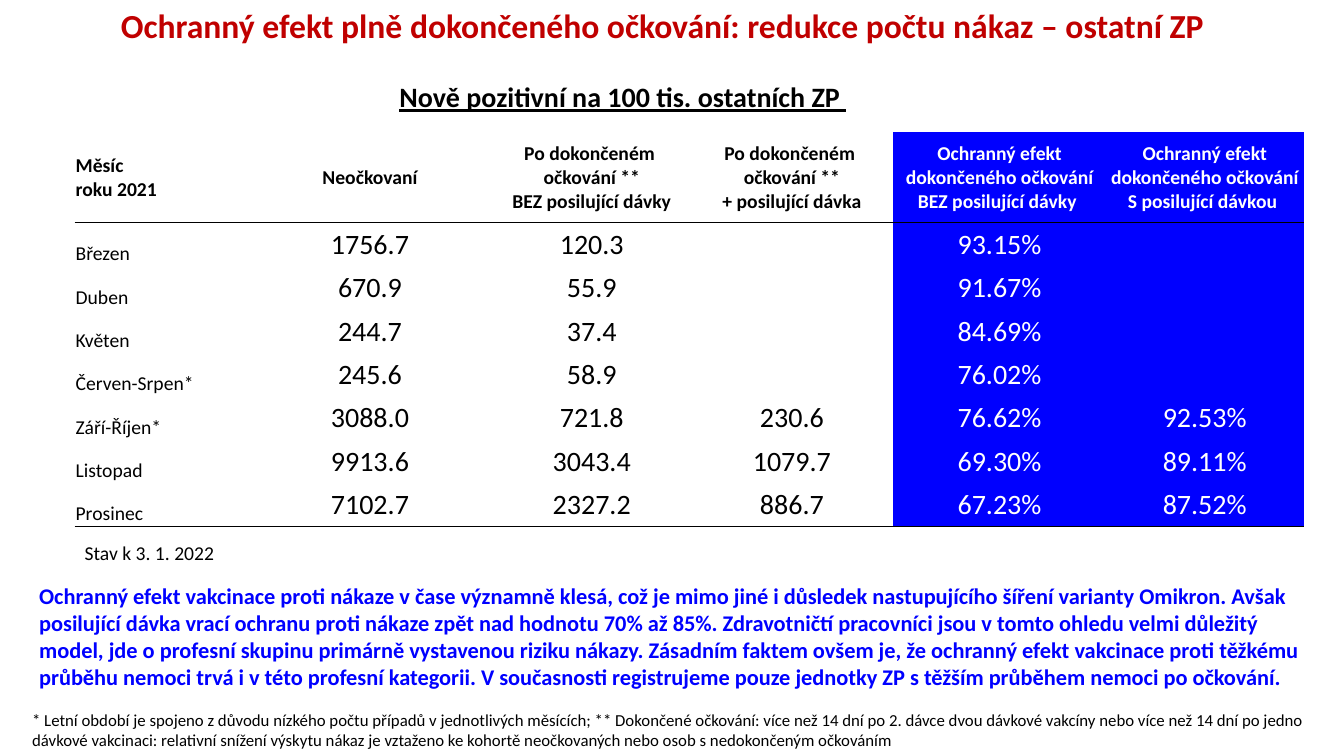
from lxml.etree import SubElement
from pptx import Presentation
from pptx.dml.color import RGBColor
from pptx.enum.text import MSO_ANCHOR as Anchor, PP_ALIGN as Align
from pptx.oxml import parse_xml
from pptx.oxml.ns import nsdecls, qn
from pptx.util import Pt

EMU_PER_PX = 9144
FONT = "Calibri"
BLACK, WHITE, RED, BLUE = "000000", "FFFFFF", "C00000", "0000FF"
PLAIN_STYLE = "{2D5ABB26-0587-4C30-8999-92F81FD0307C}"

TITLE = "Ochranný efekt plně dokončeného očkování: redukce počtu nákaz – ostatní ZP"
SUBTITLE = "Nově pozitivní na 100 tis. ostatních ZP "
STATUS = "Stav k 3. 1. 2022"
CONCLUSION = (
    "Ochranný efekt vakcinace proti nákaze v čase významně klesá, což je mimo jiné i "
    "důsledek nastupujícího šíření varianty Omikron. Avšak posilující dávka vrací ochranu "
    "proti nákaze zpět nad hodnotu 70% až 85%. Zdravotničtí pracovníci jsou v tomto ohledu "
    "velmi důležitý model, jde o profesní skupinu primárně vystavenou riziku nákazy. "
    "Zásadním faktem ovšem je, že ochranný efekt vakcinace proti těžkému průběhu nemoci "
    "trvá i v této profesní kategorii. V současnosti registrujeme pouze jednotky ZP "
    "s těžším průběhem nemoci po očkování."
)
FOOTNOTE = (
    "* Letní období je spojeno z důvodu nízkého počtu případů v jednotlivých měsících; "
    "** Dokončené očkování: více než 14 dní po 2. dávce dvou dávkové vakcíny nebo více než "
    "14 dní po jedno dávkové vakcinaci: relativní snížení výskytu nákaz je vztaženo ke "
    "kohortě neočkovaných nebo osob s nedokončeným očkováním"
)

HEADERS = [
    "Měsíc\nroku 2021",
    "Neočkovaní",
    "Po dokončeném \nočkování **\nBEZ posilující dávky",
    "Po dokončeném \nočkování **\n+ posilující dávka",
    "Ochranný efekt dokončeného očkování BEZ posilující dávky ",
    "Ochranný efekt dokončeného očkování S posilující dávkou ",
]
MONTHS = [
    ("Březen", "1756.7", "120.3", "", "93.15%", ""),
    ("Duben", "670.9", "55.9", "", "91.67%", ""),
    ("Květen", "244.7", "37.4", "", "84.69%", ""),
    ("Červen-Srpen*", "245.6", "58.9", "", "76.02%", ""),
    ("Září-Říjen*", "3088.0", "721.8", "230.6", "76.62%", "92.53%"),
    ("Listopad", "9913.6", "3043.4", "1079.7", "69.30%", "89.11%"),
    ("Prosinec", "7102.7", "2327.2", "886.7", "67.23%", "87.52%"),
]
COLUMN_WIDTHS = [171, 244, 196, 201, 211, 196]
ROW_HEIGHT, HEADER_HEIGHT = 43, 90
FIRST_EFFECT_COLUMN = 4


def px(length):
    return int(length * EMU_PER_PX)


def rgb(color):
    return RGBColor.from_string(color)


def write(frame, text, size=14, color=BLACK, bold=False, underline=False,
          align=Align.LEFT, line_spacing=None):
    """Fill a text frame, one paragraph per line of text."""
    frame.word_wrap = True
    for index, line in enumerate(text.split("\n")):
        paragraph = frame.add_paragraph() if index else frame.paragraphs[0]
        paragraph.alignment = align
        paragraph.line_spacing = line_spacing
        run = paragraph.add_run()
        run.text = line
        run.font.name = FONT
        run.font.size = Pt(size)
        run.font.bold = bold
        run.font.underline = underline
        run.font.color.rgb = rgb(color)


def add_text(slide, box, text, **text_format):
    shape = slide.shapes.add_textbox(*map(px, box))
    write(shape.text_frame, text, **text_format)


def add_bottom_border(cell):
    border = parse_xml(
        f'<a:lnB {nsdecls("a")} w="{Pt(1)}"><a:solidFill><a:srgbClr val="{BLACK}"/>'
        '</a:solidFill></a:lnB>')
    cell._tc.get_or_add_tcPr().insert(0, border)


def fill_cell(cell, text, column, is_header):
    is_effect = column >= FIRST_EFFECT_COLUMN
    is_month = column == 0
    cell.margin_left = cell.margin_right = cell.margin_top = px(1)
    cell.margin_bottom = 0
    cell.vertical_anchor = Anchor.BOTTOM if is_month and not is_header else Anchor.MIDDLE
    if is_effect:
        cell.fill.solid()
        cell.fill.fore_color.rgb = rgb(BLUE)
    else:
        cell.fill.background()
    if text:
        write(cell.text_frame, text, size=14 if is_header or is_month else 20,
              bold=is_header, color=WHITE if is_effect else BLACK,
              align=Align.LEFT if is_month else Align.CENTER)


def add_infection_table(slide, left, top):
    heights = [ROW_HEIGHT, HEADER_HEIGHT] + [ROW_HEIGHT] * len(MONTHS)
    frame = slide.shapes.add_table(
        len(heights), len(COLUMN_WIDTHS), px(left), px(top),
        px(sum(COLUMN_WIDTHS)), px(sum(heights)))
    table = frame.table
    table.first_row = table.horz_banding = False
    properties = table._tbl.tblPr
    for style in properties.findall(qn("a:tableStyleId")):
        properties.remove(style)
    SubElement(properties, qn("a:tableStyleId")).text = PLAIN_STYLE
    for column, width in zip(table.columns, COLUMN_WIDTHS):
        column.width = px(width)
    for row, height in zip(table.rows, heights):
        row.height = px(height)

    for cell in table.rows[0].cells:
        cell.fill.background()
    table.cell(0, 1).merge(table.cell(0, 4))
    for row, values in enumerate([HEADERS, *MONTHS], start=1):
        for column, text in enumerate(values):
            cell = table.cell(row, column)
            fill_cell(cell, text, column, is_header=row == 1)
            if row in (1, len(MONTHS) + 1):
                add_bottom_border(cell)


def build_slide(presentation):
    slide = presentation.slides.add_slide(presentation.slide_layouts[6])
    add_infection_table(slide, 74, 88)
    add_text(slide, (22, 4, 1270, 145), TITLE, size=24, color=RED, bold=True,
             align=Align.CENTER, line_spacing=0.9)
    add_text(slide, (381, 74, 474, 44), SUBTITLE, size=20, bold=True,
             underline=True, align=Align.CENTER)
    add_text(slide, (22, 699, 1299, 50), FOOTNOTE, size=12)
    add_text(slide, (29, 573, 1287, 118), CONCLUSION, size=16, color=BLUE, bold=True)
    add_text(slide, (74, 532, 221, 34), STATUS)


def main():
    presentation = Presentation()
    presentation.slide_width = px(1333)
    presentation.slide_height = px(750)
    build_slide(presentation)
    presentation.save("out.pptx")


if __name__ == "__main__":
    main()
